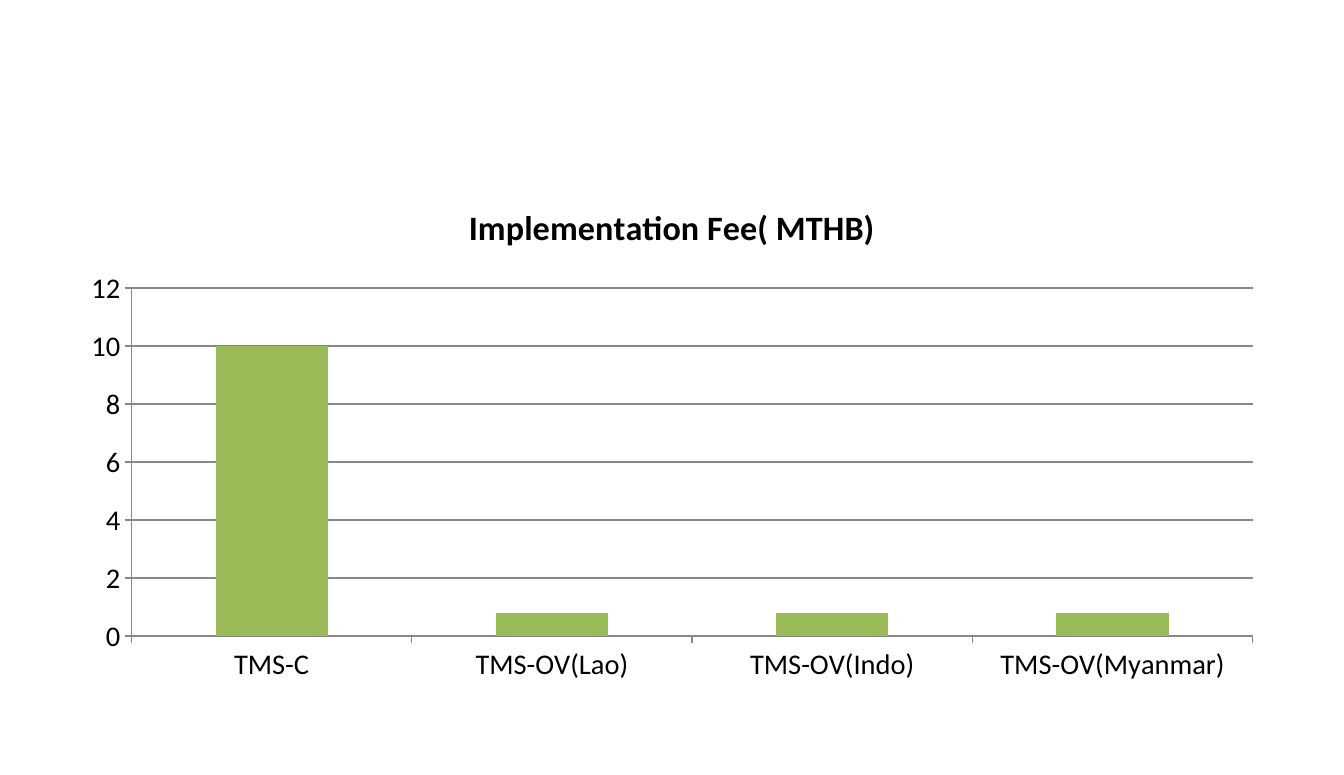
from dataclasses import dataclass

from pptx import Presentation
from pptx.chart.axis import _BaseAxis
from pptx.chart.data import CategoryChartData
from pptx.dml.color import RGBColor
from pptx.enum.chart import XL_CHART_TYPE, XL_TICK_MARK
from pptx.slide import Slide
from pptx.text.text import Font
from pptx.util import Inches, Pt

SLIDE_WIDTH = Inches(11.81)
SLIDE_HEIGHT = Inches(6.81)
BLANK_LAYOUT = 6
BLACK = "000000"
GRAY = "878787"
GREEN = "9BBB59"


@dataclass(frozen=True)
class Fee:
    system: str
    amount: float


@dataclass(frozen=True)
class Area:
    """A rectangle given as shares of the slide's width and height."""

    left: float
    top: float
    width: float
    height: float


TITLE = "Implementation Fee( MTHB)"
FEES = [
    Fee("TMS-C", 10),
    Fee("TMS-OV(Lao)", 0.8),
    Fee("TMS-OV(Indo)", 0.8),
    Fee("TMS-OV(Myanmar)", 0.8),
]
CHART_AREA = Area(0.05, 0.2335, 0.9, 0.6593)


def color(value: str) -> RGBColor:
    return RGBColor.from_string(value)


def format_font(font: Font, size: float, bold: bool = False) -> None:
    settings = {"name": "Calibri", "size": Pt(size), "bold": bold}
    for name, value in settings.items():
        setattr(font, name, value)
    font.color.rgb = color(BLACK)


def format_axis(axis: _BaseAxis, gridlines: bool) -> None:
    settings = {
        "has_major_gridlines": gridlines,
        "major_tick_mark": XL_TICK_MARK.OUTSIDE,
        "minor_tick_mark": XL_TICK_MARK.NONE,
    }
    for name, value in settings.items():
        setattr(axis, name, value)
    lines = [axis.format.line]
    if gridlines:
        lines.append(axis.major_gridlines.format.line)
    for line in lines:
        line.color.rgb = color(GRAY)
        line.width = Pt(0.75)


def add_fee_chart(page: Slide, fees: list[Fee], area: Area) -> None:
    data = CategoryChartData()
    data.categories = [fee.system for fee in fees]
    data.add_series("Series 1", [fee.amount for fee in fees])
    chart = page.shapes.add_chart(
        XL_CHART_TYPE.COLUMN_CLUSTERED,
        round(area.left * SLIDE_WIDTH),
        round(area.top * SLIDE_HEIGHT),
        round(area.width * SLIDE_WIDTH),
        round(area.height * SLIDE_HEIGHT),
        data,
    ).chart
    chart.has_legend = False
    format_font(chart.font, 18)

    chart.has_title = True
    paragraph = chart.chart_title.text_frame.paragraphs[0]
    span = paragraph.add_run()
    span.text = TITLE
    format_font(span.font, 21.6, bold=True)

    format_axis(chart.category_axis, gridlines=False)
    format_axis(chart.value_axis, gridlines=True)
    scale = {"minimum_scale": 0, "maximum_scale": 12, "major_unit": 2}
    for name, value in scale.items():
        setattr(chart.value_axis, name, value)

    plot = chart.plots[0]
    plot.gap_width = 150
    plot.vary_by_categories = False
    fill = plot.series[0].format.fill
    fill.solid()
    fill.fore_color.rgb = color(GREEN)


def main() -> None:
    deck = Presentation()
    deck.slide_width = SLIDE_WIDTH
    deck.slide_height = SLIDE_HEIGHT
    page = deck.slides.add_slide(deck.slide_layouts[BLANK_LAYOUT])
    add_fee_chart(page, FEES, CHART_AREA)
    deck.save("out.pptx")


if __name__ == "__main__":
    main()
